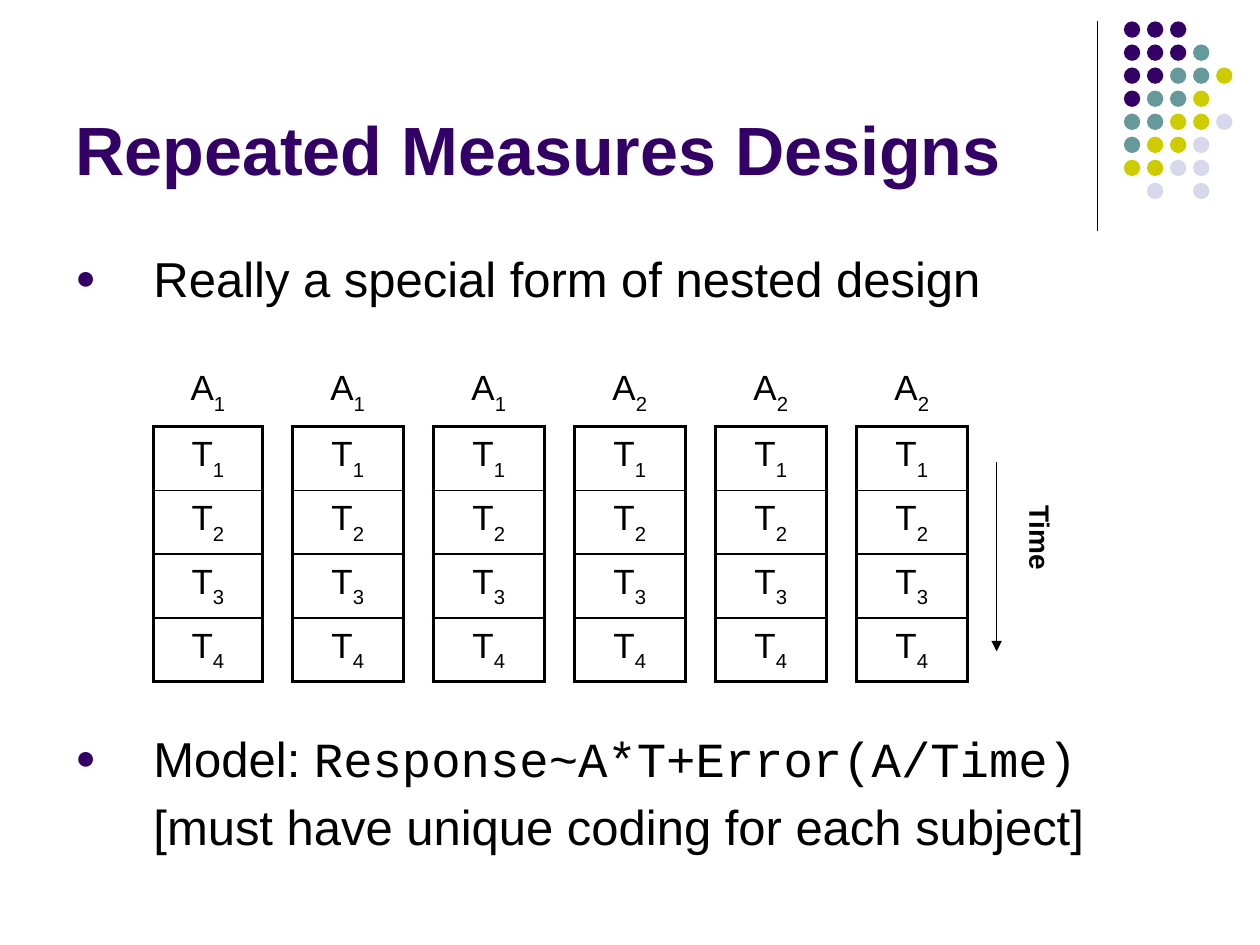
"""Build the slide on repeated measures designs."""
from lxml import etree
from pptx import Presentation
from pptx.dml.color import RGBColor
from pptx.enum.shapes import MSO_CONNECTOR, MSO_SHAPE
from pptx.enum.text import MSO_ANCHOR, PP_ALIGN
from pptx.oxml.ns import qn
from pptx.util import Inches, Pt

OVAL = MSO_SHAPE.OVAL
LINE = MSO_CONNECTOR.STRAIGHT
CENTER = PP_ALIGN.CENTER
TOP, MIDDLE, BOTTOM = MSO_ANCHOR.TOP, MSO_ANCHOR.MIDDLE, MSO_ANCHOR.BOTTOM
PLAIN = "{2D5ABB26-0587-4C30-8999-92F81FD0307C}"
COLORS = {"purple": "330066", "teal": "669999", "lime": "CCCC00",
          "pale": "D8D8EC", "black": "000000"}

deck = Presentation()
deck.slide_width, deck.slide_height = Inches(10), Inches(7.5)
slide = deck.slides.add_slide(deck.slide_layouts[6])
shapes = slide.shapes


def style(run, size, color="black", bold=False, face="Arial"):
    run.font.size = Pt(size)
    run.font.bold = bold
    run.font.name = face
    run.font.color.rgb = RGBColor.from_string(COLORS[color])


def add_rule(x, top, end):
    rule = shapes.add_connector(LINE, Inches(x), Inches(top), Inches(x), Inches(end))
    rule.line.color.rgb = RGBColor.from_string(COLORS["black"])
    rule.line.width = Pt(0.75)
    etree.SubElement(rule._element.spPr, qn("a:effectLst"))
    return rule


add_rule(8.71, 0.17, 1.83)
dots = ["PPP", "PPPT", "PPTTL", "PTTL", "TTLLW", "TLLW", "LLWW", " W W"]
shades = {"P": "purple", "T": "teal", "L": "lime", "W": "pale"}
for row, marks in enumerate(dots):
    for col, mark in enumerate(marks):
        if mark in shades:
            dot = shapes.add_shape(OVAL, Inches(8.92 + col * 0.183),
                                   Inches(0.17 + row * 0.183), Inches(0.13), Inches(0.13))
            dot.shadow.inherit = False
            dot.fill.solid()
            dot.fill.fore_color.rgb = RGBColor.from_string(COLORS[shades[mark]])
            dot.line.fill.background()

title = shapes.add_textbox(Inches(0.5), Inches(0.13), Inches(8.25), Inches(1.42)).text_frame
title.word_wrap = True
title.vertical_anchor = BOTTOM
title.text = "Repeated Measures Designs"
style(title.paragraphs[0].runs[0], 39, "purple", True)

points = [
    (1.92, 0.6, [[("Really a special form of nested design", "Arial")]]),
    (5.73, 1.2, [[("Model: ", "Arial"), ("Response~A*T+Error(A/Time)", "Courier New")],
                 [("[must have unique coding for each subject]", "Arial")]]),
]
for top, height, lines in points:
    body = shapes.add_textbox(Inches(0.5), Inches(top), Inches(9), Inches(height)).text_frame
    body.word_wrap = True
    for i, parts in enumerate(lines):
        para = body.add_paragraph() if i else body.paragraphs[0]
        props = para._p.get_or_add_pPr()
        props.set("marL", str(Inches(0.62)))
        if i:
            para.space_before = Pt(5.6)
        else:
            props.set("indent", str(-Inches(0.62)))
            tint = etree.SubElement(props, qn("a:buClr"))
            etree.SubElement(tint, qn("a:srgbClr"), val=COLORS["purple"])
            etree.SubElement(props, qn("a:buSzPct"), val="70000")
            etree.SubElement(props, qn("a:buFont"), typeface="Arial")
            etree.SubElement(props, qn("a:buChar"), char="●")
        for words, face in parts:
            run = para.add_run()
            run.text = words
            style(run, 28, face=face)

arrow = add_rule(7.91, 3.67, 5.17)
etree.SubElement(arrow.line._get_or_add_ln(), qn("a:tailEnd"), type="triangle")
label = shapes.add_textbox(Inches(7.73), Inches(4.17), Inches(0.97), Inches(0.45))
label.rotation = 90
label.text_frame.word_wrap = True
label.text_frame.text = "Time"
style(label.text_frame.paragraphs[0].runs[0], 16, bold=True)

groups = [1, 1, 1, 2, 2, 2]
frame = shapes.add_table(5, 11, Inches(1.22), Inches(2.88), Inches(6.42), Inches(2.53))
table = frame.table
table.first_row = table.horz_banding = False
table._tbl.tblPr.find(qn("a:tableStyleId")).text = PLAIN
for col, column in enumerate(table.columns):
    column.width = Inches(0.23 if col % 2 else 0.88 if col else 0.86)
for row in range(5):
    for col in range(11):
        cell = table.cell(row, col)
        if col % 2 == 0:
            cell.vertical_anchor = MIDDLE if row else TOP
            para = cell.text_frame.paragraphs[0]
            para.alignment = CENTER
            base, sub = para.add_run(), para.add_run()
            base.text = "T" if row else "A"
            sub.text = str(row or groups[col // 2])
            style(base, 20)
            style(sub, 20)
            sub.font._element.set("baseline", "-30000")
            edges = {"lnB": 2}
            if row:
                edges = {"lnL": 2, "lnR": 2, "lnT": 2 if row == 1 else 1,
                         "lnB": 2 if row == 4 else 1}
            for side, width in edges.items():
                edge = etree.SubElement(cell._tc.get_or_add_tcPr(), qn("a:" + side),
                                        w=str(Pt(width)))
                ink = etree.SubElement(edge, qn("a:solidFill"))
                etree.SubElement(ink, qn("a:srgbClr"), val=COLORS["black"])
        cell.fill.background()

deck.save("out.pptx")
